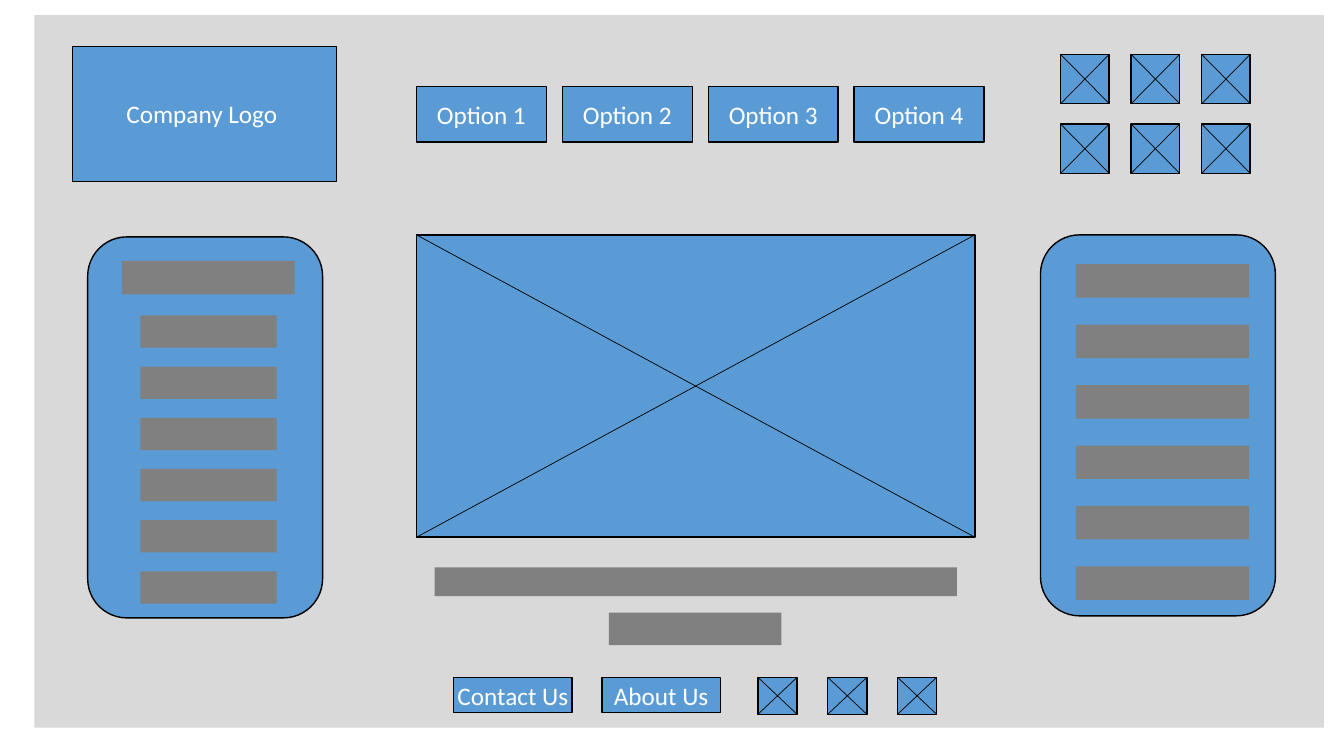
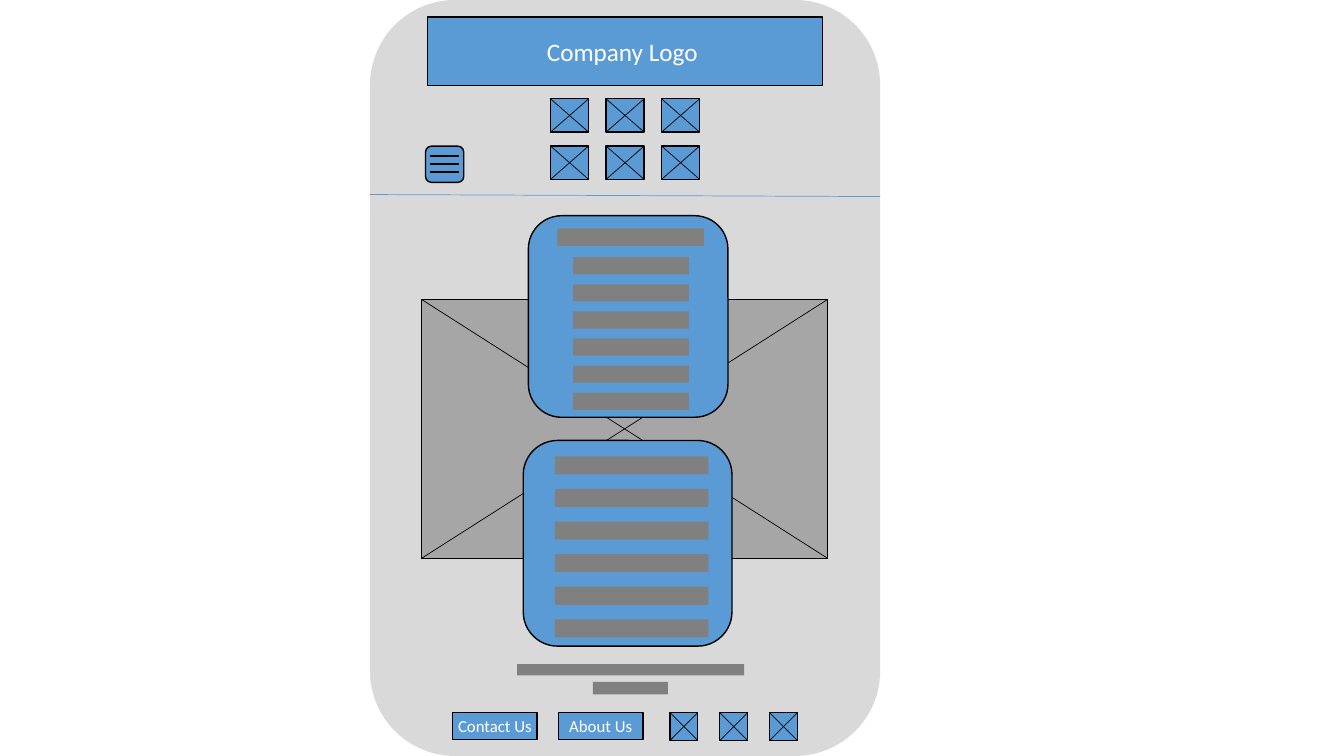
from dataclasses import dataclass

from pptx import Presentation
from pptx import util as u
from pptx.dml.color import RGBColor
from pptx.enum import shapes, text
from pptx.oxml.xmlchemy import OxmlElement


@dataclass(frozen=True)
class Theme:
    canvas: str = "D9D9D9"
    block: str = "5B9BD5"
    muted: str = "A6A6A6"
    bar: str = "808080"
    ink: str = "000000"
    label: str = "FFFFFF"
    font: str = "Calibri"
    body: float = 18
    small: float = 12
    outline: float = 1
    hairline: float = 0.5
    stroke: float = 1.5


THEME = Theme()
RECT = shapes.MSO_SHAPE.RECTANGLE
ROUNDED = shapes.MSO_SHAPE.ROUNDED_RECTANGLE


@dataclass(frozen=True)
class Box:
    left: float
    top: float
    width: float
    height: float

    def percent(self, left, top, width, height):
        return Box(*self.point(left, top),
                   self.width * width / 100, self.height * height / 100)

    def point(self, across, down):
        return (self.left + self.width * across / 100,
                self.top + self.height * down / 100)

    def offset(self, left, top, width, height):
        return Box(self.left + left, self.top + top, width, height)


def spread(first, last, count):
    return [first + (last - first) * i / (count - 1) for i in range(count)]


def assign(target, values):
    for name, value in values.items():
        setattr(target, name, value)


def add_block(page, box, fill=THEME.block, kind=RECT, outlined=True):
    shape = page.shapes.add_shape(
        kind, u.Inches(box.left), u.Inches(box.top),
        u.Inches(box.width), u.Inches(box.height))
    shape.shadow.inherit = False
    shape.fill.solid()
    shape.fill.fore_color.rgb = RGBColor.from_string(fill)
    if outlined:
        shape.line.color.rgb = RGBColor.from_string(THEME.ink)
        shape.line.width = u.Pt(THEME.outline)
    else:
        shape.line.fill.background()
    return shape


def add_bar(page, box):
    add_block(page, box, THEME.bar, outlined=False)


def add_line(page, start, end, color=THEME.ink, width=THEME.hairline):
    line = page.shapes.add_connector(
        shapes.MSO_CONNECTOR.STRAIGHT, *map(u.Inches, (*start, *end)))
    line.line.color.rgb = RGBColor.from_string(color)
    line.line.width = u.Pt(width)
    line._element.spPr.append(OxmlElement("a:effectLst"))


def add_label(page, box, words, size=THEME.body, tight=False):
    frame = add_block(page, box).text_frame
    assign(frame, {"word_wrap": True,
                   "vertical_anchor": text.MSO_ANCHOR.MIDDLE})
    if tight:
        sides = ("left", "top", "right", "bottom")
        assign(frame, {f"margin_{side}": 0 for side in sides})
    para = frame.paragraphs[0]
    para.alignment = text.PP_ALIGN.CENTER
    span = para.add_run()
    span.text = words
    assign(span.font, {"name": THEME.font, "size": u.Pt(size)})
    span.font.color.rgb = RGBColor.from_string(THEME.label)


def add_crossed(page, box, fill=THEME.block):
    add_block(page, box, fill)
    add_line(page, box.point(0, 0), box.point(100, 100))
    add_line(page, box.point(0, 100), box.point(100, 0))


def icon_grid(page, box):
    width, height = 25.6, 41.4
    for top in spread(0, 100 - height, 2):
        for left in spread(0, 100 - width, 3):
            add_crossed(page, box.percent(left, top, width, height))


def option_row(page, box):
    width = 22.9
    for number, left in enumerate(spread(0, 100 - width, 4), 1):
        add_label(page, box.percent(left, 0, width, 100), f"Option {number}")


def menu_panel(page, box):
    add_block(page, box, kind=ROUNDED)
    add_bar(page, box.percent(14.6, 6.3, 73.5, 8.8))
    for top in spread(20.6, 87.8, 6):
        add_bar(page, box.percent(22.4, top, 58, 8.5))


def list_panel(page, box):
    add_block(page, box, kind=ROUNDED)
    for top in spread(7.7, 87, 6):
        add_bar(page, box.percent(15.1, top, 73.6, 8.8))


def caption(page, box):
    add_bar(page, box.percent(0, 0, 100, 37))
    add_bar(page, box.percent(33.4, 58, 33, 42))


def footer(page, box, size):
    for left, words in zip((0, 30.7), ("Contact Us", "About Us")):
        add_label(page, box.percent(left, 0, 24.5, 95), words, size, True)
    for left in spread(63, 91.9, 3):
        add_crossed(page, box.percent(left, 0, 8.1, 99))


def menu_button(page, box):
    add_block(page, box, kind=ROUNDED)
    for down in spread(28, 72, 3):
        add_line(page, box.point(11, down), box.point(88, down),
                 width=THEME.stroke)


def desktop_page(page, box):
    add_block(page, box, THEME.canvas, outlined=False)
    add_label(page, box.offset(0.38, 0.31, 2.62, 1.34), "Company Logo ")
    icon_grid(page, box.offset(10.18, 0.39, 1.88, 1.18))
    option_row(page, box.offset(3.79, 0.71, 5.63, 0.55))
    add_crossed(page, box.offset(3.79, 2.18, 5.54, 3))
    menu_panel(page, box.offset(0.53, 2.2, 2.33, 3.78))
    caption(page, box.offset(3.97, 5.48, 5.18, 0.77))
    footer(page, box.offset(4.16, 6.57, 4.79, 0.37), THEME.body)
    list_panel(page, box.offset(9.98, 2.18, 2.33, 3.78))


def phone_page(page, box):
    add_block(page, box, THEME.canvas, ROUNDED, outlined=False)
    add_label(page, box.offset(0.57, 0.17, 3.92, 0.68), "Company Logo ")
    icon_grid(page, box.offset(1.79, 0.98, 1.48, 0.8))
    add_crossed(page, box.offset(0.51, 2.97, 4.03, 2.57), THEME.muted)
    menu_panel(page, box.offset(1.57, 2.14, 1.98, 2))
    list_panel(page, box.offset(1.52, 4.37, 2.07, 2.04))
    caption(page, box.offset(1.46, 6.59, 2.25, 0.3))
    menu_button(page, box.offset(0.55, 1.45, 0.38, 0.36))
    footer(page, box.offset(0.82, 7.07, 3.42, 0.28), THEME.small)
    add_line(page, (box.left, box.top + 1.93),
             (box.left + box.width, box.top + 1.95), THEME.block)


def main():
    deck = Presentation()
    assign(deck, {"slide_width": u.Inches(13.33),
                  "slide_height": u.Inches(7.5)})
    layouts = (
        (desktop_page, Box(0.34, 0.15, 12.79, 7.07)),
        (phone_page, Box(3.67, 0, 5.06, 7.5)),
    )
    for build, box in layouts:
        build(deck.slides.add_slide(deck.slide_layouts[6]), box)
    deck.save("out.pptx")


if __name__ == "__main__":
    main()
